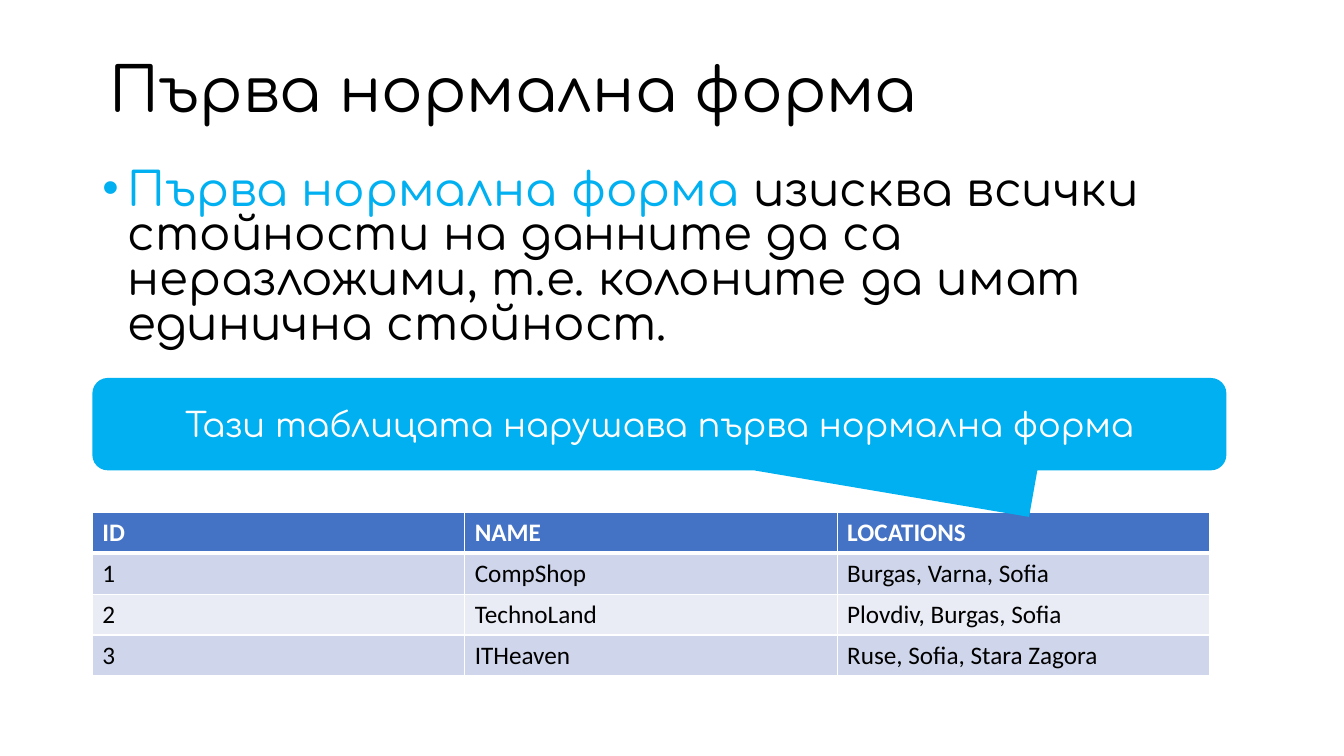
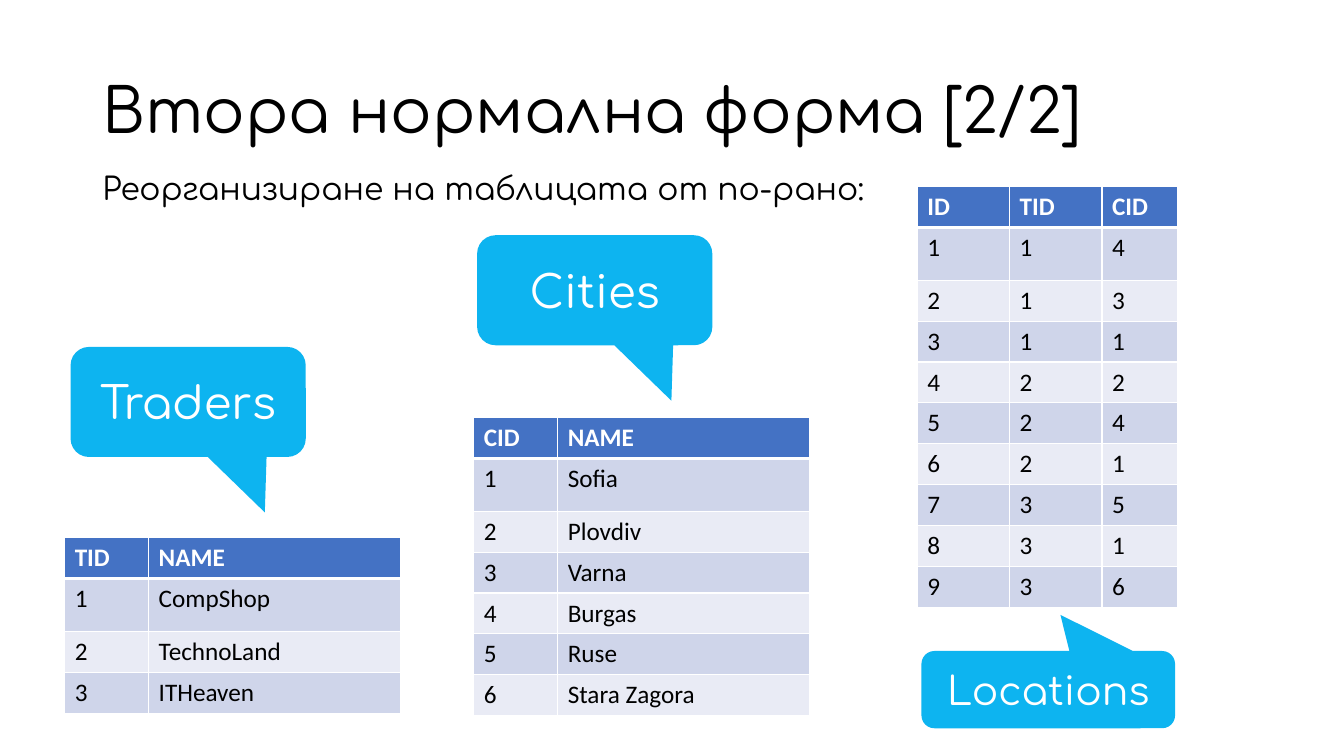
from lxml import etree
from pptx import Presentation
from pptx.dml.color import RGBColor
from pptx.enum.shapes import MSO_SHAPE
from pptx.enum.text import MSO_ANCHOR, PP_ALIGN
from pptx.oxml import parse_xml
from pptx.oxml.ns import qn
from pptx.util import Emu, Pt

CALLOUT = MSO_SHAPE.ROUNDED_RECTANGULAR_CALLOUT
MIDDLE, CENTER = MSO_ANCHOR.MIDDLE, PP_ALIGN.CENTER
NS = "http://schemas.openxmlformats.org/drawingml/2006/main"

# Slide grid: 160 columns by 90 rows of square units
COLS, ROWS = 160, 90
UNIT = 76200
LEFT, WIDE = 11, 135
ROW, TALL = 4.87, 6.3

HEAD, BODY = "Comfortaa", "Calibri"
COLORS = {"sky": "00B0F0", "blue": "4472C4", "odd": "CFD5EA",
          "even": "E9EBF5", "white": "FFFFFF", "black": "000000"}
DOWN, UP = (0.326, 1.004, 0.167), (0.048, -0.968, 0.167)


def grid(*units):
    return [Emu(round(u * UNIT)) for u in units]


def rgb(name):
    return RGBColor.from_string(COLORS[name])


def style(para, size, color, face=HEAD, bold=False):
    font = para.font
    font.name, font.size, font.bold = face, Pt(size), bold
    font.color.rgb = rgb(color)


def add_text(slide, box, text, size, spacing):
    frame = slide.shapes.add_textbox(*grid(*box)).text_frame
    frame.word_wrap = True
    para = frame.paragraphs[0]
    para.text = text
    para.line_spacing = spacing
    style(para, size, "black")
    return frame


def add_title(slide, left, top, text):
    frame = add_text(slide, (left, top, 138, 17.4), text, 44, 0.9)
    frame.vertical_anchor = MIDDLE


def add_body(slide, box, text, size):
    para = add_text(slide, box, text, size, 0.8).paragraphs[0]
    para.space_before = Pt(10)
    return para


def add_bullet(para):
    props = para._p.get_or_add_pPr()
    props.set("marL", str(3 * UNIT))
    props.set("indent", str(-3 * UNIT))
    font = etree.SubElement(props, qn("a:buFont"), typeface="Arial")
    mark = etree.SubElement(props, qn("a:buChar"), char="•")
    props.find(qn("a:defRPr")).addprevious(font)
    font.addnext(mark)


def add_callout(slide, box, text, size, tail=DOWN, alpha=100):
    shape = slide.shapes.add_shape(CALLOUT, *grid(*box))
    for i, value in enumerate(tail):
        shape.adjustments[i] = value
    shape.shadow.inherit = False
    shape.fill.solid()
    shape.fill.fore_color.rgb = rgb("sky")
    shape.line.fill.background()
    if alpha < 100:
        color = shape._element.spPr.find(qn("a:solidFill"))[0]
        etree.SubElement(color, qn("a:alpha"), val=str(alpha * 1000))
    frame = shape.text_frame
    frame.word_wrap = True
    frame.vertical_anchor = MIDDLE
    para = frame.paragraphs[0]
    para.text, para.alignment = text, CENTER
    style(para, size, "white")


def add_borders(cell, row):
    # Thick rule between header and first data row
    widths = {"L": 1, "R": 1, "T": 3 if row == 1 else 1, "B": 3 if row == 0 else 1}
    props = cell._tc.get_or_add_tcPr()
    for i, (side, width) in enumerate(widths.items()):
        props.insert(i, parse_xml(
            f'<a:ln{side} xmlns:a="{NS}" w="{Pt(width)}"><a:solidFill>'
            f'<a:srgbClr val="{COLORS["white"]}"/></a:solidFill></a:ln{side}>'))


def add_grid(slide, left, top, widths, data, first=ROW):
    heights = [ROW, first] + [ROW] * (len(data) - 2)
    box = grid(left, top, sum(widths), sum(heights))
    table = slide.shapes.add_table(len(data), len(widths), *box).table
    for column, width in zip(table.columns, grid(*widths)):
        column.width = width
    for r, (values, height) in enumerate(zip(data, grid(*heights))):
        table.rows[r].height = height
        fill = "blue" if r == 0 else ("even", "odd")[r % 2]
        for c, value in enumerate(values):
            cell = table.cell(r, c)
            cell.fill.solid()
            cell.fill.fore_color.rgb = rgb(fill)
            add_borders(cell, r)
            para = cell.text_frame.paragraphs[0]
            para.text = str(value)
            style(para, 18, "black" if r else "white", BODY, r == 0)


def numbered(key, names):
    return [(key, "NAME"), *enumerate(names, 1)]


TRADERS = ["CompShop", "TechnoLand", "ITHeaven"]
PLACES = ["Burgas, Varna, Sofia", "Plovdiv, Burgas, Sofia",
          "Ruse, Sofia, Stara Zagora"]
CITIES = ["Sofia", "Plovdiv", "Varna", "Burgas", "Ruse", "Stara Zagora"]
LINKS = [(1, 4), (1, 3), (1, 1), (2, 2), (2, 4), (2, 1), (3, 5), (3, 1), (3, 6)]


def first_form(slide):
    # Rule
    para = add_body(slide, (LEFT, 19.7, WIDE, 22.8), "", 33.3)
    term = para.add_run()
    term.text = "Първа нормална форма "
    term.font.color.rgb = rgb("sky")
    para.add_run().text = ("изисква всички стойности на данните да са "
                           "неразложими, т.е. колоните да имат единична стойност.")
    add_bullet(para)
    add_title(slide, 11.8, 2.3, "Първа нормална форма")
    # Table that breaks the rule
    data = [("ID", "NAME", "LOCATIONS")]
    data += [(i, *pair) for i, pair in enumerate(zip(TRADERS, PLACES), 1)]
    add_grid(slide, LEFT, 61, [133 / 3] * 3, data)
    add_callout(slide, (LEFT, 45, WIDE, 11),
                "Тази таблицата нарушава първа нормална форма", 24)


def second_form(slide):
    add_body(slide, (LEFT, 20.4, 95, 6.8),
             "Реорганизиране на таблицата от по-рано: ", 22.4)
    # Traders and cities
    add_grid(slide, 7.7, 64, [10, 30], numbered("TID", TRADERS), TALL)
    add_callout(slide, (8.4, 41.3, 28, 13.1), "Traders", 32, alpha=95)
    add_grid(slide, 56.4, 49.7, [10, 30], numbered("CID", CITIES), TALL)
    add_callout(slide, (56.8, 28, 28, 13.1), "Cities", 32, alpha=95)
    # Links between them
    links = [("ID", "TID", "CID")]
    links += [(i, *pair) for i, pair in enumerate(LINKS, 1)]
    add_grid(slide, 109.2, 22.2, [11, 11, 9], links, TALL)
    add_callout(slide, (109.7, 77.5, 30.2, 9.2), "Locations", 28, UP, 95)
    add_title(slide, LEFT, 4.8, "Втора нормална форма [2/2]")


deck = Presentation()
deck.slide_width, deck.slide_height = grid(COLS, ROWS)
for build in (first_form, second_form):
    build(deck.slides.add_slide(deck.slide_layouts[6]))
deck.save("out.pptx")
